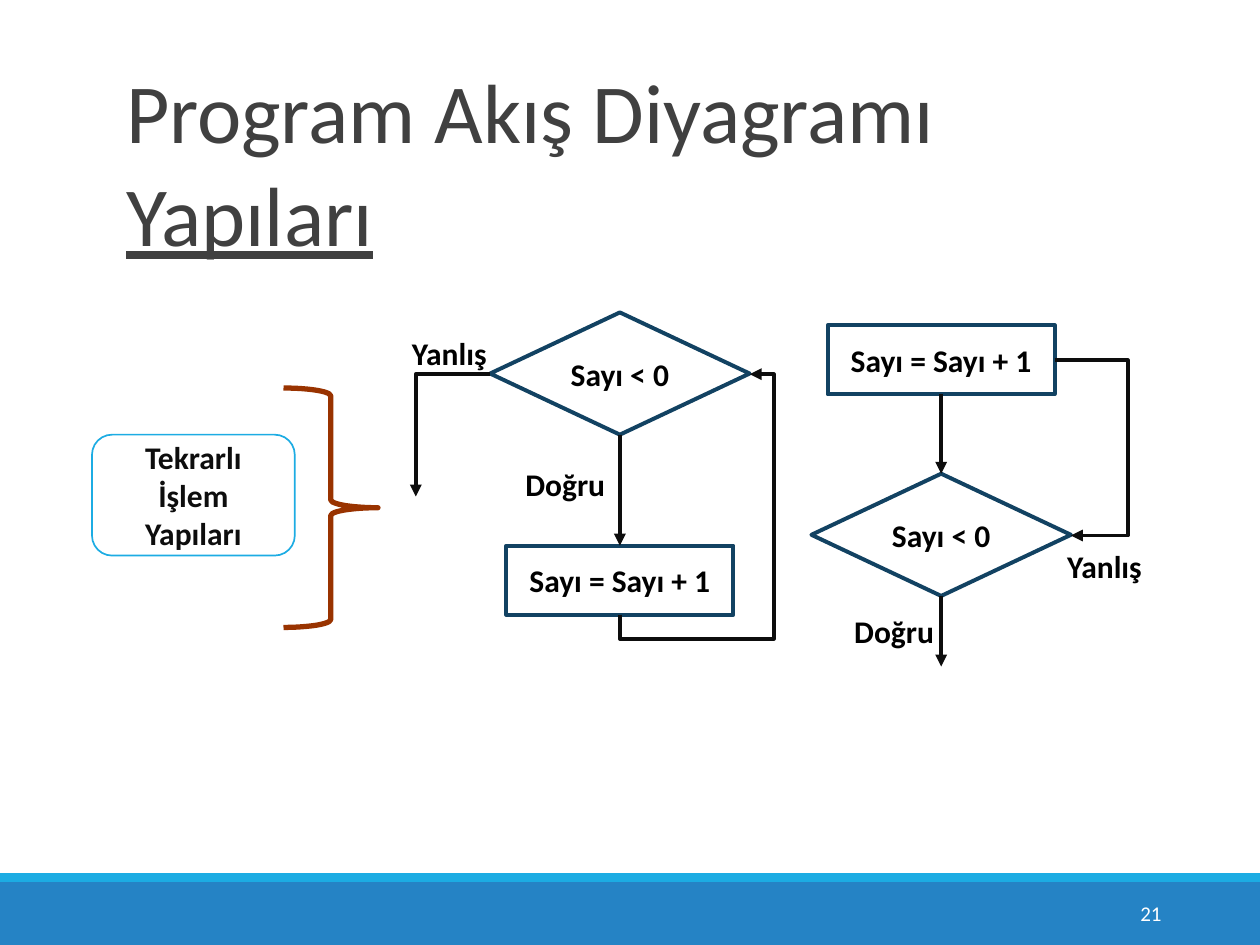
from lxml import etree
from pptx import Presentation
from pptx.dml.color import RGBColor
from pptx.enum import shapes, text
from pptx.oxml import ns
from pptx.util import Inches, Pt

COLORS = {"title": "404040", "text": "000000", "topic": "0D0D0D", "flow": "0D0D0D",
          "node": "124262", "accent": "1CACE3", "footer": "2583C5",
          "brace": "993300", "white": "FFFFFF"}
SHAPE = shapes.MSO_SHAPE
LEFT, CENTER = text.PP_ALIGN.LEFT, text.PP_ALIGN.CENTER


def write(frame, runs, size, color, align=CENTER, bold=True, wrap=False,
          margins=(0, 0, 0, 0), anchor=text.MSO_ANCHOR.MIDDLE):
    """Fill a text frame with (wording, underlined) runs."""
    frame.auto_size = text.MSO_AUTO_SIZE.NONE
    frame.word_wrap = wrap
    frame.vertical_anchor = anchor
    (frame.margin_left, frame.margin_top,
     frame.margin_right, frame.margin_bottom) = map(Inches, margins)
    paragraph = frame.paragraphs[0]
    paragraph.alignment = align
    for wording, underlined in runs:
        run = paragraph.add_run()
        run.text = wording
        run.font.name, run.font.size = "Calibri", Pt(size)
        run.font.bold, run.font.underline = bold, underlined
        run.font.color.rgb = RGBColor.from_string(COLORS[color])
    return paragraph


def outline(item, color, width, arrow=False):
    """Style a line, optionally ending in an arrowhead, without shadow."""
    item.line.color.rgb = RGBColor.from_string(COLORS[color])
    item.line.width = Pt(width)
    if arrow:
        etree.SubElement(item.line._get_or_add_ln(), ns.qn("a:tailEnd"), type="triangle")
    etree.SubElement(item._element.spPr, ns.qn("a:effectLst"))


prs = Presentation()
prs.slide_width, prs.slide_height = Inches(10), Inches(7.5)
slide = prs.slides.add_slide(prs.slide_layouts[5])
canvas = slide.shapes

# Footer bands
for top, height, color in [(7, 0.5, "footer"), (6.93, 0.07, "accent")]:
    band = canvas.add_shape(SHAPE.RECTANGLE, 0, Inches(top), prs.slide_width, Inches(height))
    band.fill.solid()
    band.fill.fore_color.rgb = RGBColor.from_string(COLORS[color])
    band.line.fill.background()
    band.shadow.inherit = False

# Title
title = canvas.title
title.left, title.top, title.width, title.height = map(Inches, (0.83, 0.32, 8.33, 1.51))
heading = write(title.text_frame, [("Program Akış Diyagramı ", False), ("Yapıları", True)],
                48, "title", LEFT, bold=False, wrap=True,
                margins=(0.17, 0.14, 0, 0), anchor=text.MSO_ANCHOR.TOP)
heading.line_spacing = 1.02

# Topic and brace
topic = canvas.add_shape(SHAPE.ROUNDED_RECTANGLE, *map(Inches, (0.73, 3.45, 1.61, 0.96)))
topic.fill.background()
outline(topic, "accent", 0.96)
write(topic.text_frame, [("Tekrarlı İşlem Yapıları", False)], 18, "topic",
      wrap=True, margins=(0.35, 0, 0.35, 0))

brace = canvas.add_shape(SHAPE.RIGHT_BRACE, *map(Inches, (2.25, 3.08, 0.75, 1.9)))
brace.fill.background()
outline(brace, "brace", 3)

# Decisions and steps: kind, centre x, top
SIZES = {SHAPE.DIAMOND: (2.06, 0.97, "Sayı < 0"),
         SHAPE.RECTANGLE: (1.8, 0.55, "Sayı = Sayı + 1")}
nodes = []
for kind, center, top in [(SHAPE.DIAMOND, 4.92, 2.48), (SHAPE.RECTANGLE, 4.92, 4.33),
                          (SHAPE.RECTANGLE, 7.47, 2.58), (SHAPE.DIAMOND, 7.47, 3.76)]:
    width, height, wording = SIZES[kind]
    node = canvas.add_shape(kind, *map(Inches, (center - width / 2, top, width, height)))
    node.fill.background()
    outline(node, "node", 2.28)
    write(node.text_frame, [(wording, False)], 18, "text")
    nodes.append(node)
pre_check, pre_step, post_step, post_check = nodes

# Straight arrows
for source, target in [(pre_check, pre_step), (post_step, post_check), (post_check, None)]:
    arrow = canvas.add_connector(shapes.MSO_CONNECTOR.STRAIGHT, Inches(7.47), Inches(4.73),
                                 Inches(7.47), Inches(5.29))
    arrow.begin_connect(source, 2)
    if target is not None:
        arrow.end_connect(target, 0)
    outline(arrow, "flow", 2.28, arrow=True)

# Bent arrows: exit, loop back, repeat
for start, *bends in [
    [(3.89, 2.97), (3.3, 2.97), (3.3, 3.94)],
    [(4.92, 4.88), (4.92, 5.07), (6.14, 5.07), (6.14, 2.97), (5.95, 2.97)],
    [(8.37, 2.86), (8.95, 2.86), (8.95, 4.25), (8.5, 4.25)],
]:
    builder = canvas.build_freeform(*map(Inches, start), scale=1.0)
    builder.add_line_segments([(Inches(x), Inches(y)) for x, y in bends], close=False)
    route = builder.convert_to_shape()
    route.fill.background()
    outline(route, "flow", 2.28, arrow=True)

# Branch labels
for wording, left, top, width in [("Doğru", 4.16, 3.67, 0.66), ("Yanlış", 3.26, 2.63, 0.62),
                                  ("Doğru", 6.77, 4.84, 0.66), ("Yanlış", 8.46, 4.32, 0.62)]:
    label = canvas.add_textbox(*map(Inches, (left, top, width, 0.33)))
    write(label.text_frame, [(wording, False)], 18, "text", LEFT, margins=(0.01, 0.01, 0, 0))

# Slide number
number = canvas.add_textbox(*map(Inches, (8.91, 7.13, 0.35, 0.23)))
write(number.text_frame, [("21", False)], 12, "white", LEFT, bold=False,
      margins=(0.14, 0, 0, 0))

prs.save("out.pptx")
